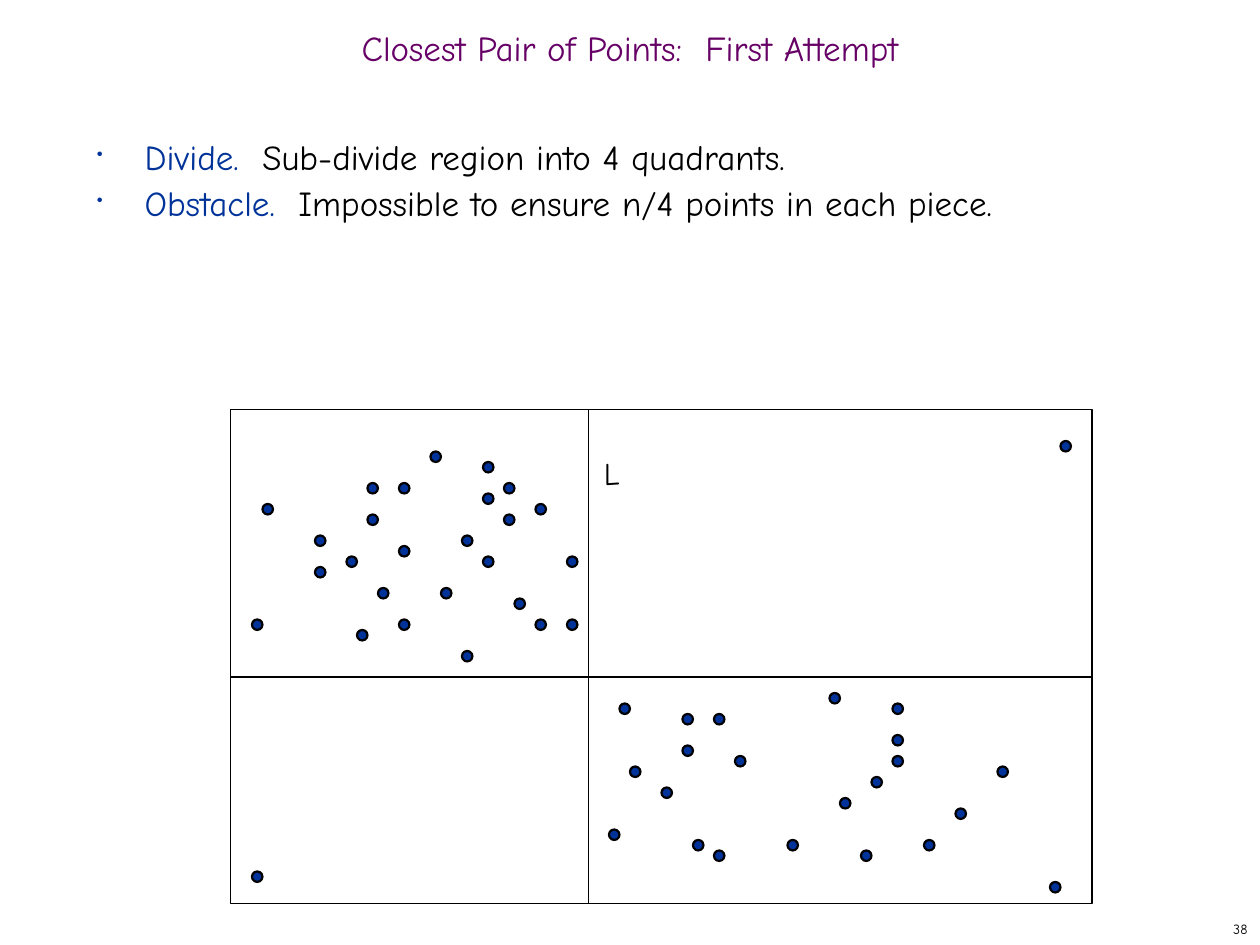
from dataclasses import dataclass

from lxml import etree
from pptx import Presentation
from pptx.dml.color import RGBColor
from pptx.enum.shapes import MSO_CONNECTOR, MSO_SHAPE
from pptx.enum.text import MSO_ANCHOR, PP_ALIGN
from pptx.oxml.ns import qn
from pptx.util import Inches, Pt


@dataclass(frozen=True)
class Theme:
    font: str = "Comic Neue"
    title: RGBColor = RGBColor(0x66, 0x00, 0x66)
    accent: RGBColor = RGBColor(0x00, 0x33, 0x99)
    ink: RGBColor = RGBColor(0x00, 0x00, 0x00)
    body_size: int = 20
    label_size: int = 18
    number_size: int = 8


THEME = Theme()

# Region and its dividing lines, in inches
LEFT, TOP, RIGHT, BOTTOM = 1.83, 3.25, 8.67, 7.17
SPLIT_X, SPLIT_Y = 4.67, 5.375

# Points sit on a grid of twelfths of an inch: (column, row)
GRID = 1 / 12
UPPER_LEFT = [
    (30, 54), (54, 53), (44, 51), (25, 48), (38, 52), (41, 43), (42, 56),
    (51, 48), (38, 46), (49, 57), (24, 59), (44, 62), (54, 59), (46, 44),
    (30, 51), (34, 60), (46, 47), (36, 56), (33, 53), (38, 59), (35, 46),
    (35, 49), (46, 53), (51, 59), (48, 46), (48, 49),
]
UPPER_RIGHT = [(101, 42)]
LOWER_LEFT = [(24, 83)]
LOWER_RIGHT = [
    (58, 79), (75, 80), (100, 84), (80, 76), (68, 68), (59, 67), (66, 80),
    (60, 73), (91, 77), (70, 72), (79, 66), (82, 81), (85, 72), (95, 73),
    (83, 74), (88, 80), (85, 67), (85, 70), (63, 75), (68, 81), (65, 68),
    (65, 71),
]

BULLETS = [
    ("Divide.  ", "Sub-divide region into 4 quadrants."),
    ("Obstacle.  ", "Impossible to ensure n/4 points in each piece."),
]


def style(r, size, color):
    r.font.name = THEME.font
    r.font.size = Pt(size)
    r.font.color.rgb = color


def add_title(s, text):
    sp = s.shapes.title
    sp.left, sp.top, sp.width, sp.height = map(Inches, (0, 0.17, 10, 0.5))
    tf = sp.text_frame
    tf.text = text
    tf.vertical_anchor = MSO_ANCHOR.MIDDLE
    p = tf.paragraphs[0]
    p.alignment = PP_ALIGN.CENTER
    p.line_spacing = 0.7
    style(p.runs[0], THEME.body_size, THEME.title)


def add_label(s, text, box, size, align, wrap=True, anchor=MSO_ANCHOR.TOP):
    tf = s.shapes.add_textbox(*map(Inches, box)).text_frame
    tf.word_wrap = wrap
    tf.vertical_anchor = anchor
    p = tf.paragraphs[0]
    p.text = text
    p.alignment = align
    style(p.runs[0], size, THEME.ink)


def set_bullet(p):
    pPr = p._p.get_or_add_pPr()
    pPr.set("marL", str(Inches(0.38)))
    pPr.set("indent", str(Inches(-0.38)))
    color = etree.SubElement(pPr, qn("a:buClr"))
    etree.SubElement(color, qn("a:srgbClr"), val=str(THEME.accent))
    etree.SubElement(pPr, qn("a:buSzPct"), val="50000")
    etree.SubElement(pPr, qn("a:buChar"), char="•")


def add_bullets(s, items):
    box = map(Inches, (0.67, 1, 8.58, 5.92))
    tf = s.shapes.add_textbox(*box).text_frame
    tf.word_wrap = True
    for i, (term, rest) in enumerate(items):
        p = tf.add_paragraph() if i else tf.paragraphs[0]
        set_bullet(p)
        p.line_spacing = Pt(26)
        for text, color in ((term, THEME.accent), (rest, THEME.ink)):
            r = p.add_run()
            r.text = text
            style(r, THEME.body_size, color)


def add_region(s):
    sp = s.shapes.add_shape(
        MSO_SHAPE.RECTANGLE, Inches(LEFT), Inches(TOP),
        Inches(RIGHT - LEFT), Inches(BOTTOM - TOP))
    sp.shadow.inherit = False
    sp.fill.background()
    sp.line.color.rgb = THEME.ink
    sp.line.width = Pt(1)


def add_divider(s, x1, y1, x2, y2):
    line = s.shapes.add_connector(
        MSO_CONNECTOR.STRAIGHT, *map(Inches, (x1, y1, x2, y2)))
    line.line.color.rgb = THEME.ink
    line.line.width = Pt(1)
    etree.SubElement(line._element.spPr, qn("a:effectLst"))


def add_point(s, col, row):
    sp = s.shapes.add_shape(
        MSO_SHAPE.OVAL, Inches(col * GRID), Inches(row * GRID),
        Inches(GRID), Inches(GRID))
    sp.shadow.inherit = False
    sp.fill.solid()
    sp.fill.fore_color.rgb = THEME.accent
    sp.line.color.rgb = THEME.ink
    sp.line.width = Pt(1.25)


def main():
    prs = Presentation()
    prs.slide_width, prs.slide_height = Inches(10), Inches(7.5)
    s = prs.slides.add_slide(prs.slide_layouts[5])

    # Text
    add_title(s, "Closest Pair of Points:  First Attempt")
    add_bullets(s, BULLETS)
    add_label(s, "38", (7.92, 7.25, 2.08, 0.25), THEME.number_size,
              PP_ALIGN.RIGHT, wrap=False, anchor=MSO_ANCHOR.MIDDLE)

    # Region split into quadrants
    add_region(s)
    add_divider(s, SPLIT_X, TOP, SPLIT_X, BOTTOM)
    add_divider(s, LEFT, SPLIT_Y, RIGHT, SPLIT_Y)
    add_label(s, "L", (4.58, 3.55, 0.55, 0.45), THEME.label_size,
              PP_ALIGN.CENTER)

    # Points
    for col, row in UPPER_LEFT + UPPER_RIGHT + LOWER_LEFT + LOWER_RIGHT:
        add_point(s, col, row)

    prs.save("out.pptx")


if __name__ == "__main__":
    main()
